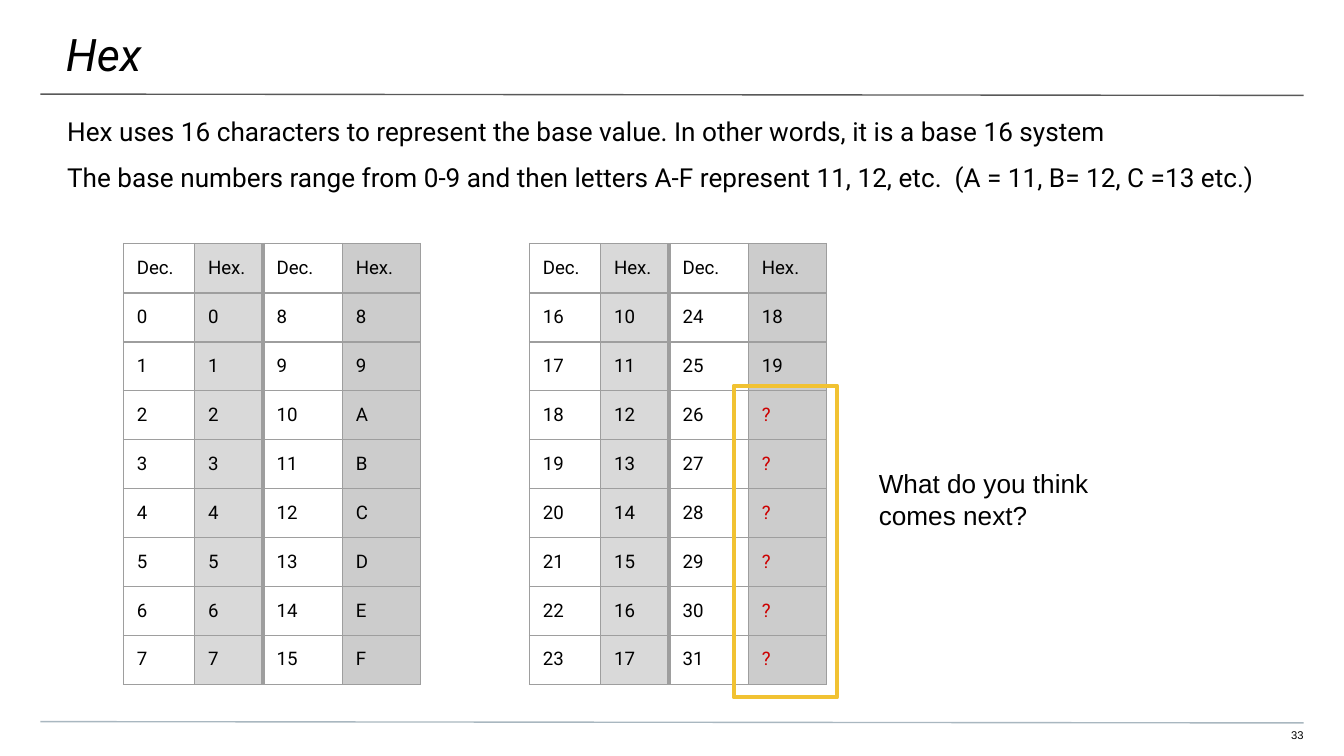
from dataclasses import dataclass
from typing import Any

from lxml.etree import SubElement
from pptx import Presentation
from pptx.dml.color import RGBColor
from pptx.enum.shapes import MSO_CONNECTOR, MSO_SHAPE
from pptx.enum.text import MSO_ANCHOR, MSO_AUTO_SIZE, PP_ALIGN
from pptx.oxml.ns import qn
from pptx.util import Pt

BLACK = RGBColor(0x00, 0x00, 0x00)
RED = RGBColor(0xCC, 0x00, 0x00)
GOLD = RGBColor(0xF1, 0xC2, 0x32)
SLATE = RGBColor(0x59, 0x59, 0x59)
STEEL = RGBColor(0xA9, 0xB7, 0xC0)
EDGE = RGBColor(0x9E, 0x9E, 0x9E)
LIGHT = RGBColor(0xD9, 0xD9, 0xD9)
DARK = RGBColor(0xCC, 0xCC, 0xCC)

COUNT = 8
FIRST_ASK = 26
WIDTHS = (38.2, 36.7, 42.5, 41.8)
FILLS = (None, LIGHT, None, DARK)
HEAD_HIGH, ROW_HIGH = 26.64, 26.2
THIN, THICK = 0.75, 2.25


@dataclass(frozen=True)
class Box:
    left: float
    top: float
    width: float
    height: float


@dataclass(frozen=True)
class Rule:
    top: float
    color: RGBColor


@dataclass(frozen=True)
class Label:
    box: Box
    inset: tuple[float, float, float, float]
    lines: tuple[str, ...]
    font: dict[str, Any]
    align: PP_ALIGN = PP_ALIGN.LEFT


@dataclass(frozen=True)
class Grid:
    left: float
    top: float
    start: int


def style(name: str, size: float, color: RGBColor = BLACK, **more: Any) -> dict[str, Any]:
    return {"name": name, "size": Pt(size), "color": color, **more}


TITLE = Label(Box(-0.72, 0, 722, 41.76), (36, 14.4, 21.6, 7.2), ("Hex",),
              style("Roboto", 24, italic=True, bold=False))
LABELS = (
    Label(Box(677.5, 390.2, 20.9, 8.64), (0, 0, 0, 7.2), ("33",),
          style("Arial", 6), PP_ALIGN.RIGHT),
    Label(Box(0, 61.92, 720, 92.16), (36, 0, 36, 72),
          ("Hex uses 16 characters to represent the base value. "
           "In other words, it is a base 16 system",
           "The base numbers range from 0-9 and then letters A-F represent "
           "11, 12, etc.  (A = 11, B= 12, C =13 etc.)"),
          style("Roboto", 14)),
    Label(Box(463.7, 243.4, 170, 72.7), (7.2, 7.2, 7.2, 7.2),
          ("What do you think comes next?",), style("Arial", 14)),
)
RULES = (Rule(50.4, SLATE), Rule(386.6, STEEL))
GRIDS = (Grid(66.1, 130.4, 0), Grid(283.6, 130.4, 16))
FRAME = Box(393.1, 206.6, 55.4, 167)


def set_font(font: Any, form: dict[str, Any]) -> None:
    for key, value in form.items():
        if key == "color":
            font.color.rgb = value
        else:
            setattr(font, key, value)


def place(shape: Any, box: Box) -> None:
    for key in ("left", "top", "width", "height"):
        setattr(shape, key, Pt(getattr(box, key)))


def set_inset(frame: Any, inset: tuple[float, ...]) -> None:
    for side, value in zip(("left", "top", "right", "bottom"), inset):
        setattr(frame, f"margin_{side}", Pt(value))


def write(shape: Any, label: Label) -> None:
    place(shape, label.box)
    frame = shape.text_frame
    set_inset(frame, label.inset)
    form = {"word_wrap": True, "auto_size": MSO_AUTO_SIZE.NONE,
            "vertical_anchor": MSO_ANCHOR.TOP}
    for key, value in form.items():
        setattr(frame, key, value)
    for rank, text in enumerate(label.lines):
        para = frame.add_paragraph() if rank else frame.paragraphs[0]
        para.text = text
        para.alignment = label.align
        if rank:
            para.space_before = para.space_after = Pt(8)
        set_font(para.font, label.font)


def draw_label(slide: Any, label: Label) -> None:
    write(slide.shapes.add_textbox(0, 0, 0, 0), label)


def draw_rule(slide: Any, rule: Rule) -> None:
    line = slide.shapes.add_connector(
        MSO_CONNECTOR.STRAIGHT, Pt(21.6), Pt(rule.top), Pt(698.4), Pt(rule.top + 0.72))
    line.line.color.rgb = rule.color
    line.line.width = Pt(0.75)
    SubElement(line._element.spPr, qn("a:effectLst"))


def draw_edge(cell: Any, col: int) -> None:
    props = cell._tc.get_or_add_tcPr()
    heavy = {1: "R", 2: "L"}.get(col)
    for side in "LRTB":
        width = THICK if side == heavy else THIN
        line = SubElement(props, qn(f"a:ln{side}"), w=str(int(Pt(width))))
        fill = SubElement(line, qn("a:solidFill"))
        SubElement(fill, qn("a:srgbClr"), val=str(EDGE))


def draw_cell(cell: Any, col: int, text: str) -> None:
    draw_edge(cell, col)
    if FILLS[col] is None:
        cell.fill.background()
    else:
        cell.fill.solid()
        cell.fill.fore_color.rgb = FILLS[col]
    set_inset(cell, (7.2,) * 4)
    cell.text = text
    set_font(cell.text_frame.paragraphs[0].font,
             style("Roboto", 10, RED if text == "?" else BLACK))


def to_hex(number: int) -> str:
    return "?" if number >= FIRST_ASK else f"{number:X}"


def draw_grid(slide: Any, grid: Grid) -> None:
    rows = [("Dec.", "Hex.") * 2]
    for low in range(grid.start, grid.start + COUNT):
        high = low + COUNT
        rows.append((str(low), to_hex(low), str(high), to_hex(high)))
    table = slide.shapes.add_table(
        len(rows), len(WIDTHS), Pt(grid.left), Pt(grid.top),
        Pt(sum(WIDTHS)), Pt(HEAD_HIGH + COUNT * ROW_HIGH)).table
    table.first_row = table.horz_banding = False
    for column, width in zip(table.columns, WIDTHS):
        column.width = Pt(width)
    for rank, texts in enumerate(rows):
        table.rows[rank].height = Pt(ROW_HIGH if rank else HEAD_HIGH)
        for col, text in enumerate(texts):
            draw_cell(table.cell(rank, col), col, text)


def draw_frame(slide: Any, box: Box) -> None:
    shape = slide.shapes.add_shape(MSO_SHAPE.RECTANGLE, 0, 0, 0, 0)
    place(shape, box)
    shape.shadow.inherit = False
    shape.fill.background()
    shape.line.color.rgb = GOLD
    shape.line.width = Pt(2.25)


def main() -> None:
    deck = Presentation()
    deck.slide_width, deck.slide_height = Pt(720), Pt(405)
    slide = deck.slides.add_slide(deck.slide_layouts[5])
    write(slide.shapes.title, TITLE)
    for rule in RULES:
        draw_rule(slide, rule)
    for label in LABELS[:2]:
        draw_label(slide, label)
    for grid in GRIDS:
        draw_grid(slide, grid)
    draw_frame(slide, FRAME)
    draw_label(slide, LABELS[2])
    deck.save("out.pptx")


if __name__ == "__main__":
    main()
